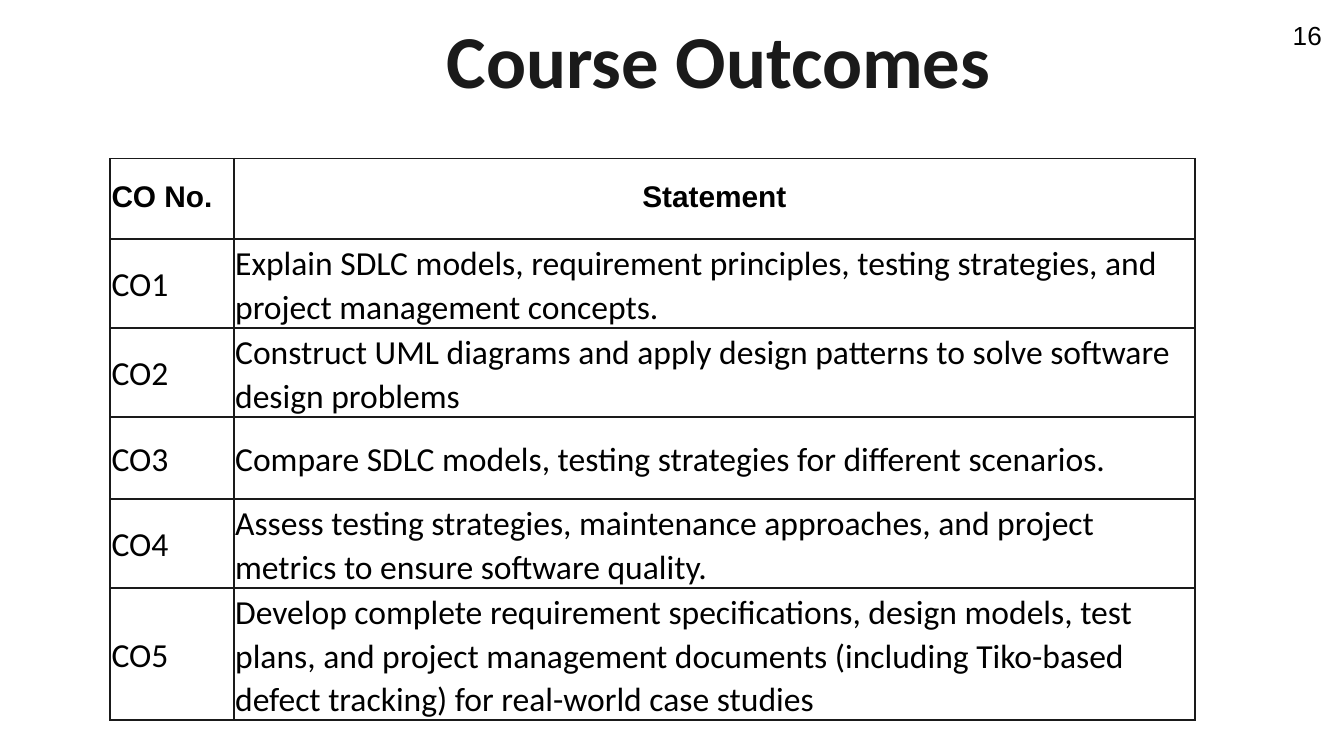
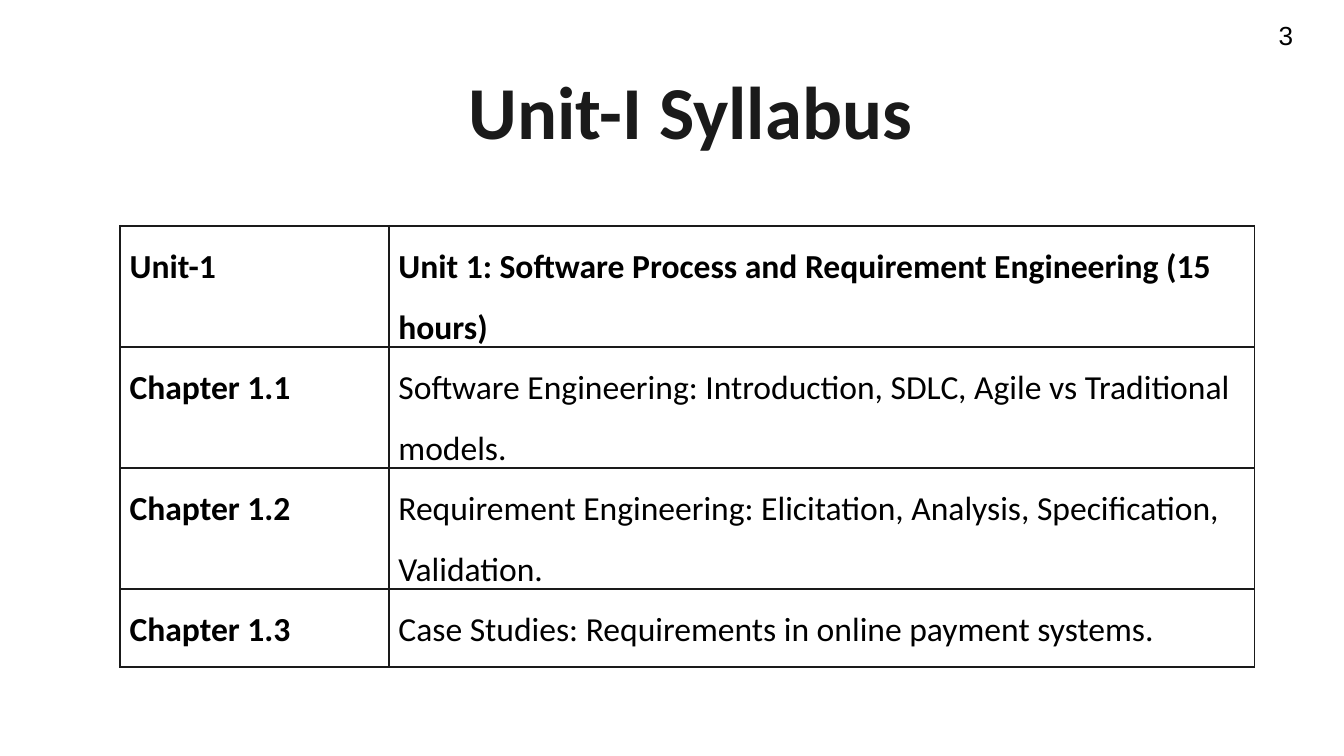
import pptx
import pptx.util
import pptx.dml.color
import pptx.enum.text
import pptx.oxml
import pptx.oxml.ns

ALIGN = pptx.enum.text.PP_ALIGN
ANCHOR = pptx.enum.text.MSO_ANCHOR
FIT = pptx.enum.text.MSO_AUTO_SIZE
SCALE = 4572
COLORS = {"ink": "1A1A1A", "text": "000000", "paper": "FFFFFF"}

HEAD = {"font": "Arial", "size": 16, "bold": True, "lead": 0.9}
ITEM = {"font": "Calibri", "size": 18, "bold": False, "lead": 1.07, "after": 8}
UNIT = {"font": "Calibri", "size": 18, "bold": True, "lead": 1.5}
LABEL = {**UNIT, "after": 8}
TOPIC = {**UNIT, "bold": False}

SLIDES = [
    {
        "title": "Course Outcomes", "title at": (171, 52),
        "page": "16", "page box": (1904, 19, 84, 68),
        "at": (164, 236), "cols": (184, 1430),
        "rows": (120, 122, 122, 122, 122, 182),
        "inset": (2, 2), "anchor": ANCHOR.MIDDLE,
        "head": ({**HEAD, "align": ALIGN.JUSTIFY}, {**HEAD, "align": ALIGN.CENTER}),
        "body": (ITEM, ITEM),
        "cells": [
            ("CO No.", "Statement"),
            ("CO1", "Explain SDLC models, requirement principles, testing strategies, "
                    "and project management concepts."),
            ("CO2", "Construct UML diagrams and apply design patterns to solve "
                    "software design problems"),
            ("CO3", "Compare SDLC models, testing strategies for different scenarios."),
            ("CO4", "Assess testing strategies, maintenance approaches, and project "
                    "metrics to ensure software quality."),
            ("CO5", "Develop complete requirement specifications, design models, test "
                    "plans, and project management documents (including Tiko-based "
                    "defect tracking) for real-world case studies"),
        ],
    },
    {
        "title": "Unit-I Syllabus ", "title at": (142, 128),
        "page": "3", "page box": (1883, 19, 62, 68),
        "at": (179, 336), "cols": (400, 1288), "rows": (170, 170, 170, 116),
        "inset": (14, 0), "anchor": ANCHOR.TOP,
        "head": (UNIT, UNIT),
        "body": (LABEL, TOPIC),
        "cells": [
            ("Unit-1", "Unit 1: Software Process and Requirement Engineering (15 hours)"),
            ("Chapter 1.1", "Software Engineering: Introduction, SDLC, Agile vs "
                            "Traditional models."),
            ("Chapter 1.2", "Requirement Engineering: Elicitation, Analysis, "
                            "Specification, Validation."),
            ("Chapter 1.3", "Case Studies: Requirements in online payment systems."),
        ],
    },
]


def px(n):
    return pptx.util.Emu(n * SCALE)


def color(name):
    return pptx.dml.color.RGBColor.from_string(COLORS[name])


def write(para, text, font, size, bold=False, ink="text", align=ALIGN.LEFT,
          lead=1.0, after=0):
    para.alignment = align
    para.line_spacing = lead
    para.space_before = pptx.util.Pt(0)
    para.space_after = pptx.util.Pt(after)
    run = para.add_run()
    run.text = text
    run.font.name = font
    run.font.size = pptx.util.Pt(size)
    run.font.bold = bold
    run.font.color.rgb = color(ink)


def pad(part, wide, high):
    part.margin_left = part.margin_right = px(wide)
    part.margin_top = part.margin_bottom = px(high)


def edge(cell):
    props = cell._tc.get_or_add_tcPr()
    for i, side in enumerate("LRTB"):
        props.insert(i, pptx.oxml.parse_xml(
            f'<a:ln{side} {pptx.oxml.ns.nsdecls("a")} w="12700"><a:solidFill>'
            f'<a:srgbClr val="{COLORS["ink"]}"/></a:solidFill></a:ln{side}>'))


def add_title(slide, text, at):
    title = slide.shapes.title
    title.left, title.top, title.width, title.height = map(px, (*at, 1796, 88))
    frame = title.text_frame
    frame.auto_size = FIT.NONE
    frame.word_wrap = True
    frame.vertical_anchor = ANCHOR.MIDDLE
    pad(frame, 16, 16)
    write(frame.paragraphs[0], text, "Calibri", 40, True, "ink", ALIGN.CENTER, 0.9)


def add_page(slide, text, box):
    frame = slide.shapes.add_textbox(*map(px, box)).text_frame
    frame.word_wrap = False
    frame.auto_size = FIT.SHAPE_TO_FIT_TEXT
    write(frame.paragraphs[0], text, "Arial", 14)


def add_grid(slide, data):
    cols, rows = data["cols"], data["rows"]
    size = sum(cols), sum(rows)
    grid = slide.shapes.add_table(
        len(rows), len(cols), *map(px, (*data["at"], *size))).table
    grid.first_row = grid.horz_banding = False
    for col, wide in zip(grid.columns, cols):
        col.width = px(wide)
    for r, (row, high) in enumerate(zip(grid.rows, rows)):
        row.height = px(high)
        styles = data["body"] if r else data["head"]
        for cell, text, style in zip(row.cells, data["cells"][r], styles):
            cell.fill.background()
            edge(cell)
            pad(cell, *data["inset"])
            cell.vertical_anchor = data["anchor"]
            write(cell.text_frame.paragraphs[0], text, **style)


def main():
    deck = pptx.Presentation()
    deck.slide_width, deck.slide_height = px(2000), px(1125)
    back = deck.slide_master.background.fill
    back.solid()
    back.fore_color.rgb = color("paper")
    for data in SLIDES:
        slide = deck.slides.add_slide(deck.slide_layouts[5])
        add_title(slide, data["title"], data["title at"])
        add_page(slide, data["page"], data["page box"])
        add_grid(slide, data)
    deck.save("out.pptx")


if __name__ == "__main__":
    main()
